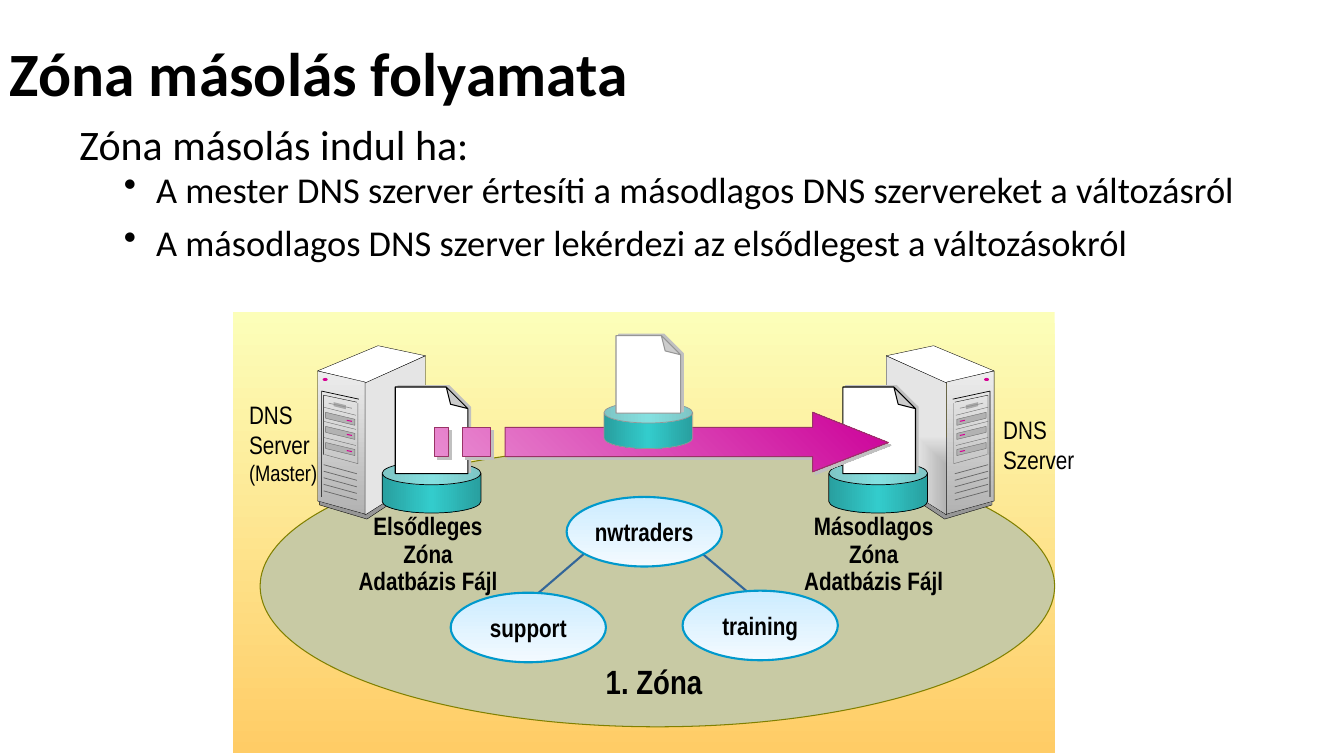
from lxml import etree
from pptx import Presentation
from pptx.dml.color import RGBColor
from pptx.enum import shapes, text
from pptx.oxml import ns, parse_xml
from pptx.util import Inches, Pt

THEME = {
    "head_font": "Calibri", "label_font": "Arial Narrow", "ink": "000000",
    "title": 44, "lead": 30, "bullet": 26, "label": 18, "small": 16, "zone": 24,
    "white": "FFFFFF", "edge": "676767", "accent": "D60093", "bay": "B2B2B2",
    "base": "969696", "plate": "A9A9A9", "plate_line": "919191", "shadow": "C0C0C0",
    "zone_fill": "C8CAA4", "zone_line": "808000", "domain_line": "0099CC",
    "tree_line": "336699", "arrow_line": "993366",
    # Gradients: colours, then the clockwise angle, or "corner"
    "sky": (["FCFEB9", "FFCC66"], 90), "domain": (["CCECFF", "F3FAFF"], 90),
    "disk": (["289F9F", "33CCCC", "289F9F"], 0), "front": (["EDEDED", "B2B2B2"], 90),
    "side": (["B2B2B2", "E5E5E5"], "corner"), "arrow": (["E98FD2", "CC0099"], 315),
}
T = THEME

TITLE = "Zóna másolás folyamata"
LEAD = "Zóna másolás indul ha:"
BULLETS = ["A mester DNS szerver értesíti a másodlagos DNS szervereket a változásról",
           "A másodlagos DNS szerver lekérdezi az elsődlegest a változásokról"]
BULLET_GAPS = [5, 13]
DOMAINS = [("nwtraders", 5.62, 4.93), ("training", 6.77, 5.86), ("support", 4.47, 5.88)]
TREE = [((5.96, 5.35), (5.25, 5.96)), ((6.82, 5.37), (7.53, 5.97))]
MASTER_LABEL = [("DNS", T["label"]), ("Server", T["label"]), ("(Master)", T["small"])]
SECOND_LABEL = [("DNS", T["label"]), ("Szerver", T["label"])]
FILE_LABELS = [(["Elsődleges Zóna", "Adatbázis Fájl"], (3.39, 5.17, 1.71, 0.67)),
               (["Másodlagos Zóna", "Adatbázis Fájl"], (7.84, 5.17, 1.65, 0.67))]
ZONE_LABEL = "1. Zóna"

# Left server; the right one is its mirror image
MIRROR = 13.01
CASE = [  # points, fill, line colour, line width
    ([(3.17, 4.95), (3.17, 5.01), (3.64, 5.15), (4.2, 4.78), (4.2, 4.71)], T["base"], T["ink"], 0.25),
    ([(3.15, 3.68), (3.63, 3.8), (4.22, 3.53), (3.75, 3.43), (3.15, 3.68)], T["white"], T["ink"], 0.25),
    ([(3.62, 3.8), (3.62, 5.11), (4.22, 4.73), (4.22, 3.53), (3.62, 3.8)], T["side"], T["ink"], 0.25),
    ([(3.62, 3.79), (3.62, 5.1), (3.15, 4.97), (3.15, 3.68), (3.62, 3.79)], T["front"], T["ink"], 0.25),
    ([(3.22, 4.51), (3.55, 4.6), (3.55, 4)], None, T["edge"], 0.25),
    ([(3.56, 3.96), (3.19, 3.88), (3.19, 4.93)], None, T["ink"], 0.5),
    ([(3.54, 3.99), (3.21, 3.92), (3.21, 4.51)], None, T["ink"], 0.25),
    ([(3.31, 3.99), (3.31, 4.03), (3.43, 4.06), (3.43, 4.02), (3.31, 3.99)], T["plate"], None, 0),
]
VENTS = [4.87 - 0.065 * i for i in range(5)]
BAYS = [4.09, 4.23, 4.39]
ARROW = [
    [(8.06, 4.09), (8.06, 4.24), (5.01, 4.24), (5.01, 4.53), (8.06, 4.53), (8.06, 4.68), (8.81, 4.39)],
    [(4.59, 4.24), (4.59, 4.53), (4.87, 4.53), (4.87, 4.24)],
    [(4.31, 4.24), (4.31, 4.53), (4.45, 4.53), (4.45, 4.24)],
]

prs = Presentation()
prs.slide_width, prs.slide_height = Inches(13.33), Inches(7.5)
slide = prs.slides.add_slide(prs.slide_layouts[6])


def rgb(color):
    return RGBColor.from_string(color)


def paint(sp, fill, line=None, width=0.75):
    """Fill with a colour, a gradient tuple or nothing; outline likewise."""
    sp.shadow.inherit = False
    if isinstance(fill, str):
        sp.fill.solid()
        sp.fill.fore_color.rgb = rgb(fill)
    else:
        sp.fill.background()
    if line:
        sp.line.color.rgb = rgb(line)
        sp.line.width = Pt(width)
    else:
        sp.line.fill.background()
    if isinstance(fill, tuple):
        colors, way = fill
        stops = "".join(f'<a:gs pos="{100000 * i // (len(colors) - 1)}"><a:srgbClr val="{c}"/></a:gs>'
                        for i, c in enumerate(colors))
        kind = ('<a:path path="rect"><a:fillToRect l="100000" t="100000"/></a:path>'
                if way == "corner" else f'<a:lin ang="{way * 60000}" scaled="0"/>')
        pr = sp._element.spPr
        pr.replace(pr.find(ns.qn("a:noFill")), parse_xml(
            f'<a:gradFill {ns.nsdecls("a")} rotWithShape="1"><a:gsLst>{stops}</a:gsLst>{kind}</a:gradFill>'))
    return sp


def cast_shadow(sp, dist, angle):
    sp._element.spPr.find(ns.qn("a:effectLst")).append(parse_xml(
        f'<a:outerShdw {ns.nsdecls("a")} dist="{Pt(dist)}" dir="{angle * 60000}" algn="ctr" '
        f'rotWithShape="0"><a:srgbClr val="{T["shadow"]}"/></a:outerShdw>'))


def preset(kind, box, fill, line=None, width=0.75, adjust=None):
    sp = paint(slide.shapes.add_shape(kind, *map(Inches, box)), fill, line, width)
    if adjust is not None:
        guides = sp._element.spPr.find(ns.qn("a:prstGeom")).get_or_add_avLst()
        for guide in list(guides):
            guides.remove(guide)
        etree.SubElement(guides, ns.qn("a:gd"), name="adj", fmla=f"val {round(adjust * 100000)}")
    return sp


def outline(contours, fill, line, width, close=False):
    fb = None
    for points in contours:
        first, *rest = [(Inches(x), Inches(y)) for x, y in points]
        if fb is None:
            fb = slide.shapes.build_freeform(*first)
        else:
            fb.move_to(*first)
        fb.add_line_segments(rest, close=close)
    return paint(fb.convert_to_shape(), fill, line, width)


def segment(start, end, color, width):
    c = slide.shapes.add_connector(shapes.MSO_CONNECTOR.STRAIGHT, *map(Inches, start + end))
    c.line.color.rgb = rgb(color)
    c.line.width = Pt(width)
    etree.SubElement(c._element.spPr, ns.qn("a:effectLst"))


def write(sp, lines, font, bold=False, align=text.PP_ALIGN.LEFT, spacing=None,
          inset=0.05, wrap=False, anchor=text.MSO_ANCHOR.MIDDLE):
    tf = sp.text_frame
    tf.word_wrap, tf.vertical_anchor = wrap, anchor
    if inset is not None:
        tf.margin_left = tf.margin_right = tf.margin_top = tf.margin_bottom = Inches(inset)
    for i, (words, size) in enumerate(lines):
        p = tf.paragraphs[0] if i == 0 else tf.add_paragraph()
        p.text, p.alignment, p.line_spacing = words, align, spacing
        p.font.name, p.font.size, p.font.bold = font, Pt(size), bold
        p.font.color.rgb = rgb(T["ink"])
    return tf


def label(box, lines, font=T["label_font"], **style):
    return write(slide.shapes.add_textbox(*map(Inches, box)), lines, font, **style)


def server(mirrored):
    def at(x, y):
        return (MIRROR - x if mirrored else x, y)

    def rule(x1, y1, x2, y2, color, width):
        segment(at(x1, y1), at(x2, y2), color, width)

    for points, *look in CASE:
        outline([[at(*pt) for pt in points]], *look)
    led_x = at(3.225, 0)[0] - 0.025
    preset(shapes.MSO_SHAPE.OVAL, (led_x, 3.75, 0.05, 0.03), T["accent"])
    for y in VENTS:
        rule(3.21, y, 3.54, y + 0.09, T["edge"], 0.5)
    rule(3.26, 4, 3.49, 4.05, T["plate_line"], 0.5)
    for y in BAYS:
        rule(3.21, y - 0.05, 3.53, y + 0.03, T["edge"], 0.25)
        bay = [(3.23, y + 0.06), (3.23, y), (3.52, y + 0.07), (3.52, y + 0.13), (3.23, y + 0.06)]
        outline([[at(*pt) for pt in bay]], T["bay"], T["edge"], 0.25)
        rule(3.49, y + 0.09, 3.44, y + 0.08, T["accent"], 0.75)


def zone_file(disk, page, line):
    """A page standing on a database disk."""
    preset(shapes.MSO_SHAPE.CAN, disk, T["disk"], line, 0.5, adjust=0.45)
    sheet = preset(shapes.MSO_SHAPE.FOLDED_CORNER, page, T["white"], line, adjust=0.297)
    sheet._element.spPr.find(ns.qn("a:xfrm")).set("flipV", "1")
    cast_shadow(sheet, 2.2, 333)


CENTER = text.PP_ALIGN.CENTER
label((0, 0.03, 11.5, 1.45), [(TITLE, T["title"])], T["head_font"], bold=True,
      spacing=0.9, inset=None, wrap=True)
body = label((0.69, 1.1, 12.57, 1.75), [(LEAD, T["lead"])] + [(b, T["bullet"]) for b in BULLETS],
             T["head_font"], spacing=0.8, inset=None, wrap=True, anchor=text.MSO_ANCHOR.TOP)
body.paragraphs[0].line_spacing = 1.05
for p, gap in zip(body.paragraphs[1:], BULLET_GAPS):
    p.level, p.space_before = 1, Pt(gap)
    pPr = p._p.get_or_add_pPr()
    pPr.set("marL", str(Inches(0.76)))
    pPr.set("indent", str(Inches(-0.32)))
    mark = parse_xml(f'<a:buChar {ns.nsdecls("a")} char="•"/>')
    pPr.find(ns.qn("a:defRPr")).addprevious(mark)

preset(shapes.MSO_SHAPE.RECTANGLE, (2.31, 3.1, 8.15, 4.37), T["sky"])
preset(shapes.MSO_SHAPE.OVAL, (2.58, 4.42, 7.88, 2.79), T["zone_fill"], T["zone_line"])
label((2.42, 3.9, 0.78, 0.98), MASTER_LABEL)
for start, end in TREE:
    segment(start, end, T["tree_line"], 1.5)
for name, x, y in DOMAINS:
    oval = preset(shapes.MSO_SHAPE.OVAL, (x, y, 1.54, 0.69), T["domain"], T["domain_line"], 1.5)
    write(oval, [(name, T["label"])], T["label_font"], bold=True, align=CENTER)
for words, box in FILE_LABELS:
    label(box, [(w, T["label"]) for w in words], bold=True, align=CENTER, spacing=0.9)
label((9.9, 4.06, 0.81, 0.7), SECOND_LABEL)
for mirrored, disk_x, page_x in [(False, 3.79, 3.92), (True, 8.22, 8.36)]:
    server(mirrored)
    zone_file((disk_x, 4.58, 0.98, 0.51), (page_x, 3.84, 0.72, 0.86), T["ink"])
cast_shadow(outline(ARROW, T["arrow"], T["arrow_line"], 0.75, close=True), 2.8, 45)
zone_file((5.99, 3.99, 0.88, 0.46), (6.11, 3.33, 0.64, 0.77), T["base"])
label((5.91, 6.51, 1.16, 0.5), [(ZONE_LABEL, T["zone"])], bold=True, inset=None,
      anchor=text.MSO_ANCHOR.TOP)

prs.save("out.pptx")
